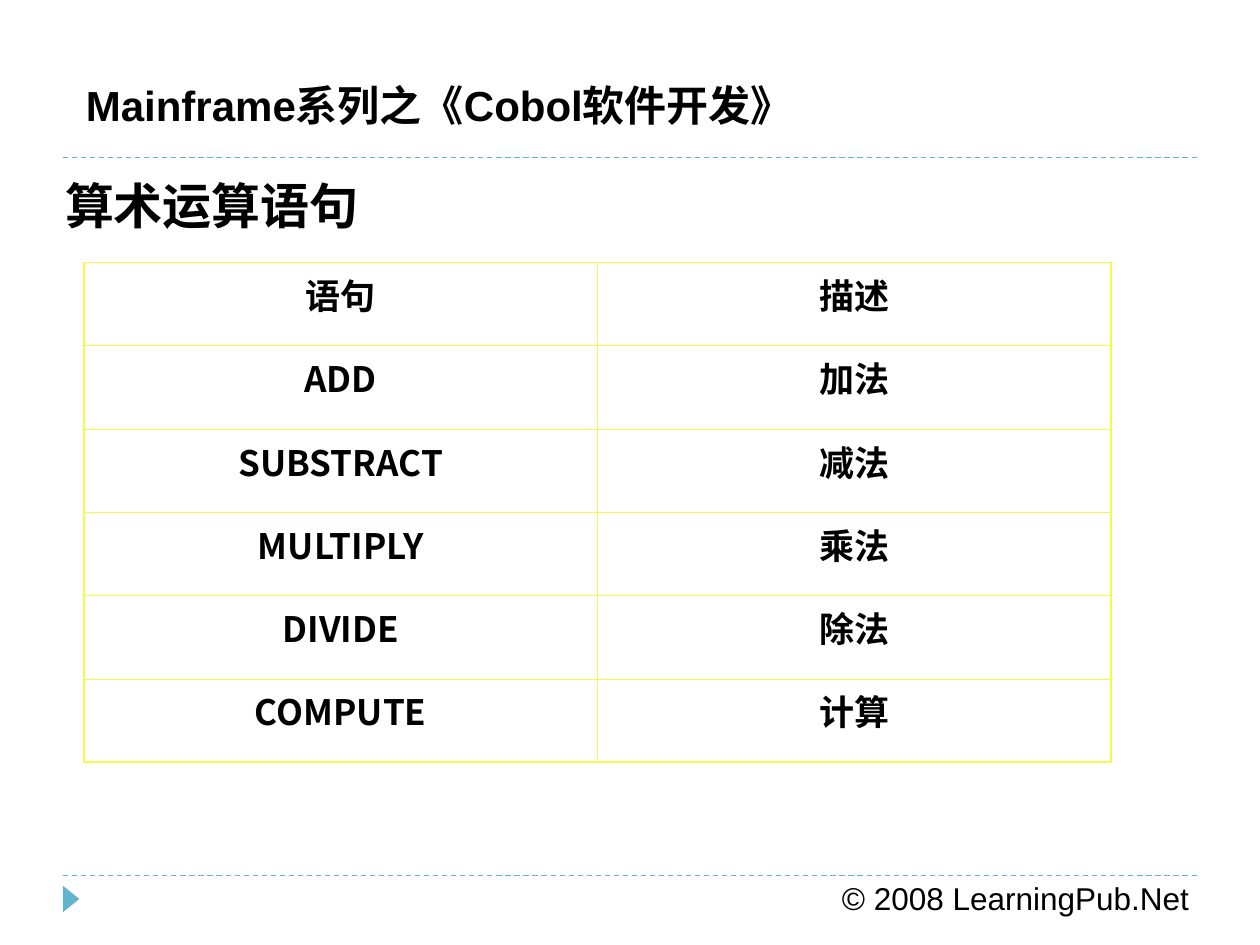
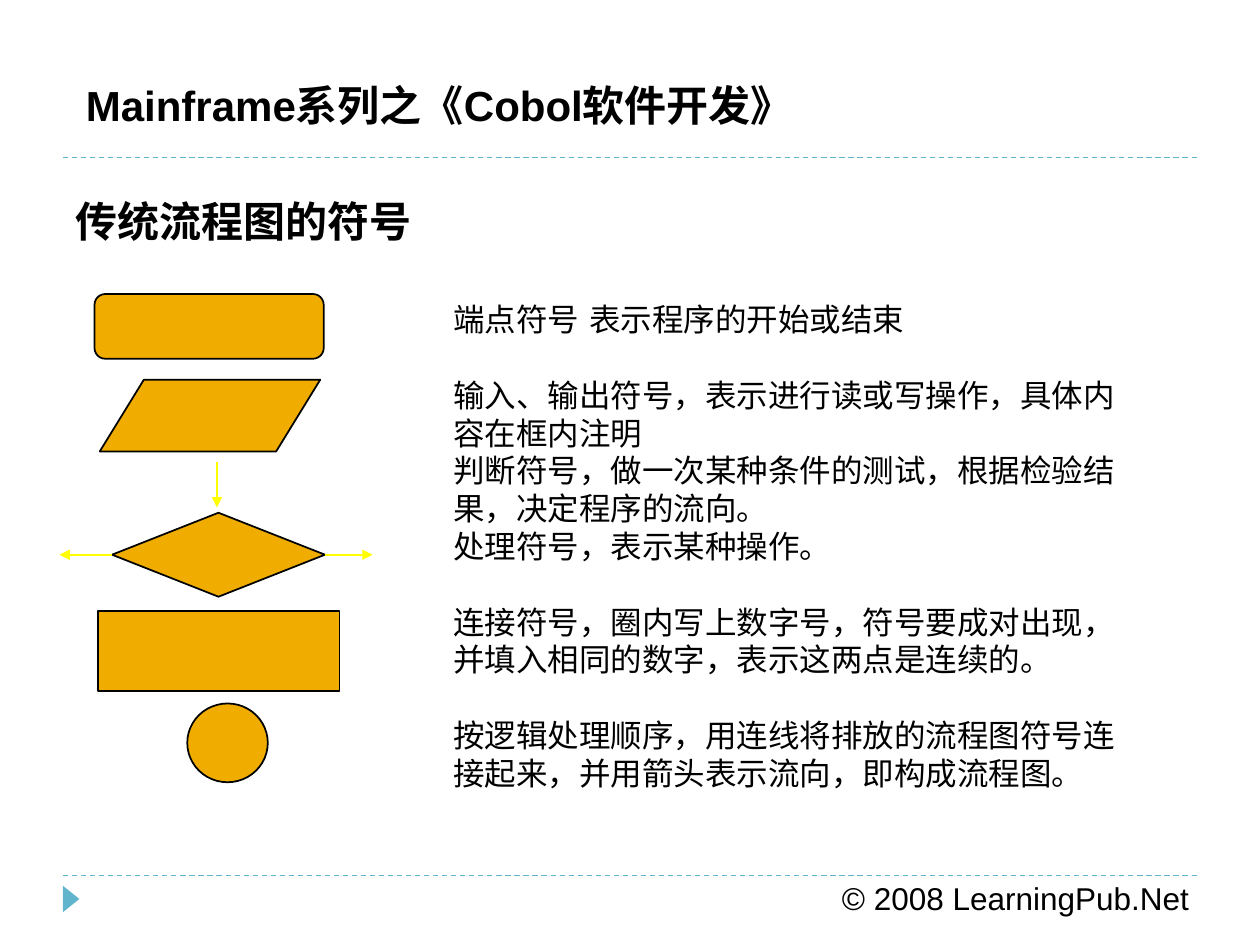
"""Build two slides of a Cobol course: arithmetic statements and flowchart symbols."""
import pptx
import pptx.util
import pptx.dml.color
import pptx.enum.dml
import pptx.enum.shapes
import pptx.enum.text
import pptx.oxml
import pptx.oxml.ns

Pt = pptx.util.Pt
RGBColor = pptx.dml.color.RGBColor
Shape = pptx.enum.shapes.MSO_SHAPE
Align = pptx.enum.text.PP_ALIGN
Anchor = pptx.enum.text.MSO_ANCHOR

BLACK = RGBColor(0x00, 0x00, 0x00)
TEAL = RGBColor(0x60, 0xB5, 0xCC)
AMBER = RGBColor(0xF0, 0xAD, 0x00)
YELLOW = RGBColor(0xFF, 0xFF, 0x00)
GRID_YELLOW = RGBColor(0xF3, 0xFB, 0x4D)

ARIAL = "Arial"
SANS = "Noto Sans CJK SC"
SERIF = "TeX Gyre Bonum"

STATEMENTS = [
    ("语句", "描述"),
    ("ADD", "加法"),
    ("SUBSTRACT", "减法"),
    ("MULTIPLY", "乘法"),
    ("DIVIDE", "除法"),
    ("COMPUTE", "计算"),
]

LINE_GAP = 21.6
DESCRIPTIONS = [
    ("端点符号 表示程序的开始或结束", 0),
    ("输入、输出符号，表示进行读或写操作，具体内容在框内注明", LINE_GAP),
    ("判断符号，做一次某种条件的测试，根据检验结果，决定程序的流向。", 0),
    ("处理符号，表示某种操作。", 0),
    ("连接符号，圈内写上数字号，符号要成对出现，并填入相同的数字，表示这两点是连续的。", LINE_GAP),
    ("按逻辑处理顺序，用连线将排放的流程图符号连接起来，并用箭头表示流向，即构成流程图。", LINE_GAP),
]


def make_element(tag, attributes="", content=""):
    """Return a drawing element built from its tag, attributes and content."""
    names = pptx.oxml.ns.nsdecls("a")
    return pptx.oxml.parse_xml(f"<a:{tag} {names} {attributes}>{content}</a:{tag}>")


def write(para, text, *, size, font=ARIAL, asian=SERIF, bold=False, align=Align.LEFT, before=0):
    """Put formatted text in a paragraph."""
    para.alignment = align
    para.space_before = Pt(before)
    span = para.add_run()
    span.text = text
    span.font.size = Pt(size)
    span.font.bold = bold
    span.font.name = font
    span.font.color.rgb = BLACK
    latin = span.font._element.find(pptx.oxml.ns.qn("a:latin"))
    latin.addnext(make_element("ea", f'typeface="{asian}"'))


def add_text(page, left, top, width, height, items, **style):
    """Add a wrapping text box with one paragraph per (text, space before) item."""
    frame = page.shapes.add_textbox(Pt(left), Pt(top), Pt(width), Pt(height)).text_frame
    frame.word_wrap = True
    for index, (text, before) in enumerate(items):
        para = frame.add_paragraph() if index else frame.paragraphs[0]
        write(para, text, before=before, **style)


def add_symbol(page, kind, left, top, width, height, fill=AMBER, outline=BLACK):
    """Add a filled preset shape, outlined if an outline colour is given."""
    symbol = page.shapes.add_shape(kind, Pt(left), Pt(top), Pt(width), Pt(height))
    symbol.shadow.inherit = False
    symbol.fill.solid()
    symbol.fill.fore_color.rgb = fill
    if outline is None:
        symbol.line.fill.background()
    else:
        symbol.line.color.rgb = outline
        symbol.line.width = Pt(1)
    return symbol


def add_line(page, start, end, color, width):
    """Add a straight line without a shadow."""
    line = page.shapes.add_connector(
        pptx.enum.shapes.MSO_CONNECTOR.STRAIGHT, *(Pt(value) for value in (*start, *end)))
    line.line.color.rgb = color
    line.line.width = Pt(width)
    line._element.spPr.append(make_element("effectLst"))
    return line


def add_rule(page, top):
    """Add a dashed rule across the page."""
    rule = add_line(page, (36, top), (684, top), TEAL, 0.75)
    rule.line.dash_style = pptx.enum.dml.MSO_LINE.DASH


def add_arrow(page, start, end):
    """Add a yellow arrow."""
    arrow = add_line(page, start, end, YELLOW, 1)
    arrow.line._get_or_add_ln().append(make_element("tailEnd", 'type="triangle"'))
    return arrow


def add_page(deck, title, left, top, width, height, *, anchor, **style):
    """Add a page with the shared header, footer and its own title."""
    page = deck.slides.add_slide(deck.slide_layouts[5])
    add_rule(page, 500.4)
    add_rule(page, 90)
    marker = add_symbol(page, Shape.ISOSCELES_TRIANGLE, 33.1, 509, 15.1, 9.4, TEAL, None)
    marker.rotation = 90
    add_text(page, 474, 498.5, 216, 29, [("© 2008 LearningPub.Net", 0)], size=18)
    add_text(page, 42, 42, 438, 36, [("Mainframe系列之《Cobol软件开发》", 0)], size=24, bold=True)
    box = page.shapes.title
    box.left, box.top, box.width, box.height = Pt(left), Pt(top), Pt(width), Pt(height)
    frame = box.text_frame
    frame.auto_size = pptx.enum.text.MSO_AUTO_SIZE.NONE
    frame.vertical_anchor = anchor
    write(frame.paragraphs[0], title, bold=True, **style)
    return page


def set_border(cell, side, width):
    """Draw one side of a table cell."""
    fill = f'<a:solidFill><a:srgbClr val="{GRID_YELLOW}"/></a:solidFill>'
    cell._tc.get_or_add_tcPr().append(make_element(side, f'w="{int(Pt(width))}"', fill))


def add_grid(page, rows, left, top, column_width, row_height):
    """Add a centred table with a thick frame and thin inner lines."""
    row_count, column_count = len(rows), len(rows[0])
    table = page.shapes.add_table(
        row_count, column_count, Pt(left), Pt(top),
        Pt(column_width * column_count), Pt(row_height * row_count)).table
    table.first_row = False
    table.horz_banding = False
    for r, row in enumerate(rows):
        for c, text in enumerate(row):
            cell = table.cell(r, c)
            edges = {
                "lnL": c == 0,
                "lnR": c == column_count - 1,
                "lnT": r == 0,
                "lnB": r == row_count - 1,
            }
            for side, outer in edges.items():
                set_border(cell, side, 1.08 if outer else 0.45)
            cell.fill.background()
            write(cell.text_frame.paragraphs[0], text, size=20, font=SANS, asian=SANS,
                  bold=True, align=Align.CENTER)


def add_statements_page(deck):
    """Add the table of arithmetic statements."""
    page = add_page(deck, "算术运算语句", 30, 96, 648, 42, anchor=Anchor.MIDDLE,
                    size=28, font=SANS, asian=SANS)
    add_grid(page, STATEMENTS, 48, 150, 293.5, 47.6)


def add_symbols_page(deck):
    """Add the flowchart symbols and their descriptions."""
    page = add_page(deck, "传统流程图的符号", 36, 108, 648, 90, anchor=Anchor.TOP,
                    size=24, font=SERIF)
    add_symbol(page, Shape.FLOWCHART_ALTERNATE_PROCESS, 54, 168, 131, 37)
    add_symbol(page, Shape.FLOWCHART_DATA, 57, 217, 126, 41)
    decision = add_symbol(page, Shape.FLOWCHART_DECISION, 64, 293, 121.7, 48)
    add_arrow(page, (124, 264), (124, 290))
    add_arrow(page, (185.7, 317), (213, 317)).begin_connect(decision, 3)
    add_arrow(page, (64, 317), (34, 317)).begin_connect(decision, 1)
    add_symbol(page, Shape.FLOWCHART_PROCESS, 56, 349, 138, 46)
    add_symbol(page, Shape.FLOWCHART_CONNECTOR, 107, 402, 46, 45)
    add_text(page, 252, 168, 396, 288, DESCRIPTIONS, size=18)


def main():
    """Build and save the deck."""
    deck = pptx.Presentation()
    deck.slide_width, deck.slide_height = Pt(720), Pt(540)
    add_statements_page(deck)
    add_symbols_page(deck)
    deck.save("out.pptx")


if __name__ == "__main__":
    main()
